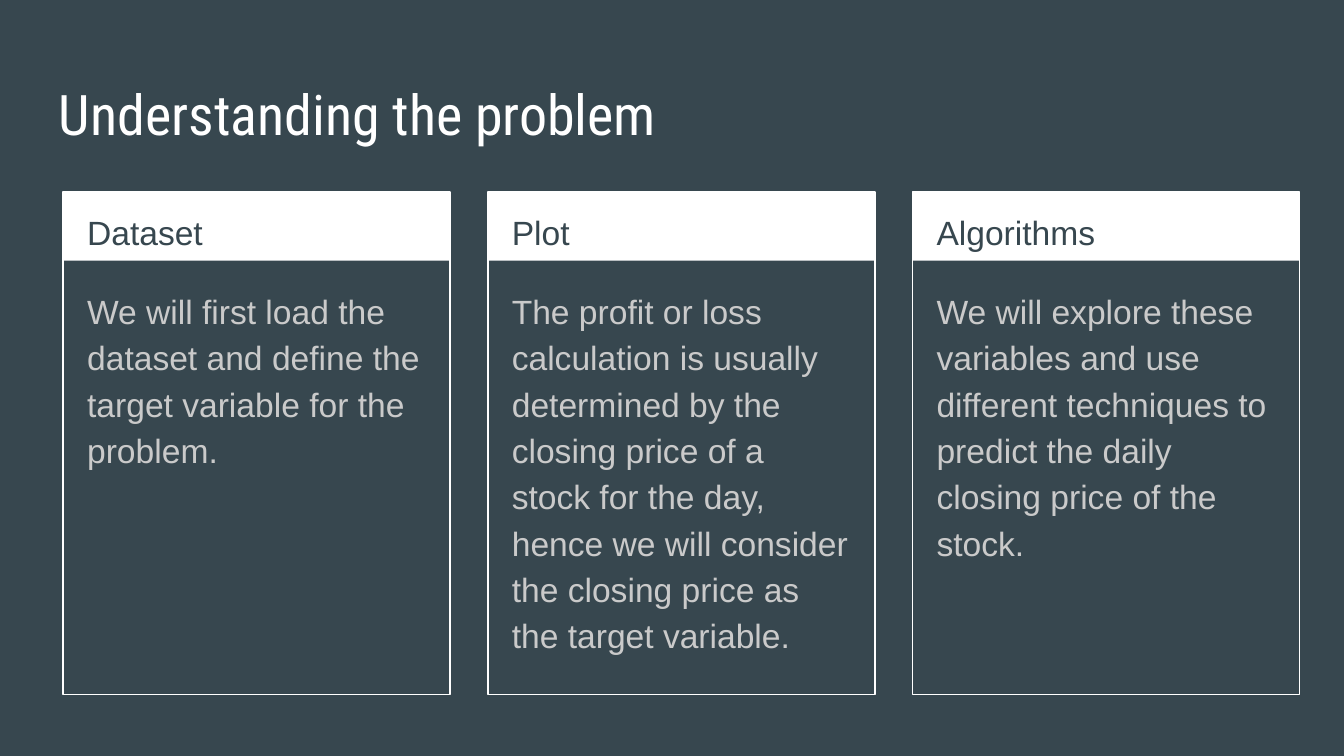
from dataclasses import dataclass

from pptx import Presentation
from pptx.dml.color import RGBColor
from pptx.enum.shapes import MSO_SHAPE
from pptx.enum.text import MSO_ANCHOR
from pptx.util import Inches, Pt

RECTANGLE = MSO_SHAPE.RECTANGLE
TOP = MSO_ANCHOR.TOP


@dataclass(frozen=True)
class Theme:
    slate: RGBColor = RGBColor(0x37, 0x47, 0x4F)
    white: RGBColor = RGBColor(0xFF, 0xFF, 0xFF)
    grey: RGBColor = RGBColor(0xCA, 0xCA, 0xCA)
    title_font: str = "Roboto Condensed"
    body_font: str = "Arial"
    title_size: Pt = Pt(30)
    body_size: Pt = Pt(18)
    outline: Pt = Pt(0.75)


theme = Theme()


def add_text(left, top, width, height, text, font, size, color):
    box = slide.shapes.add_textbox(Inches(left), Inches(top), Inches(width), Inches(height))
    frame = box.text_frame
    frame.word_wrap = True
    frame.vertical_anchor = TOP
    frame.margin_left = frame.margin_right = Inches(0.1)
    frame.margin_top = frame.margin_bottom = Inches(0.1)
    frame.text = text
    paragraph = frame.paragraphs[0]
    run_font = paragraph.runs[0].font
    run_font.name = font
    run_font.size = size
    run_font.color.rgb = color
    return paragraph


def add_panel(left, height):
    panel = slide.shapes.add_shape(
        RECTANGLE, Inches(left), Inches(CARD_TOP), Inches(CARD_WIDTH), Inches(height))
    panel.shadow.inherit = False
    return panel


# Widescreen slide (16:9) and background
prs = Presentation()
prs.slide_width, prs.slide_height = Inches(10), Inches(10 * 9 / 16)
slide = prs.slides.add_slide(prs.slide_layouts[6])
slide.background.fill.solid()
slide.background.fill.fore_color.rgb = theme.slate

# Title
add_text(0.34, 0.49, 9.32, 0.63, "Understanding the problem",
         theme.title_font, theme.title_size, theme.white)

# Three cards, evenly spaced
CARD_LEFT, CARD_TOP, CARD_WIDTH, CARD_PITCH = 0.47, 1.43, 2.88, 3.16
cards = [
    ("Dataset",
     "We will first load the dataset and define the target variable for the problem."),
    ("Plot",
     "The profit or loss calculation is usually determined by the closing price of a stock "
     "for the day, hence we will consider the closing price as the target variable."),
    ("Algorithms",
     "We will explore these variables and use different techniques to predict the daily "
     "closing price of the stock."),
]

for index, (heading, description) in enumerate(cards):
    left = CARD_LEFT + index * CARD_PITCH

    # Filled header band and card outline
    band = add_panel(left, 0.51)
    band.fill.solid()
    band.fill.fore_color.rgb = theme.white
    band.line.fill.background()
    border = add_panel(left, 3.74)
    border.fill.background()
    border.line.color.rgb = theme.white
    border.line.width = theme.outline

    # Heading and description
    heading_line = add_text(left + 0.08, CARD_TOP, 2.73, 0.5, heading,
                            theme.body_font, theme.body_size, theme.slate)
    heading_line.line_spacing = 1.15
    description_text = add_text(left + 0.08, 2.02, 2.71, 3.06, description,
                                theme.body_font, theme.body_size, theme.grey)
    description_text.line_spacing = 1.15
    description_text.space_after = Pt(16)

prs.save("out.pptx")
